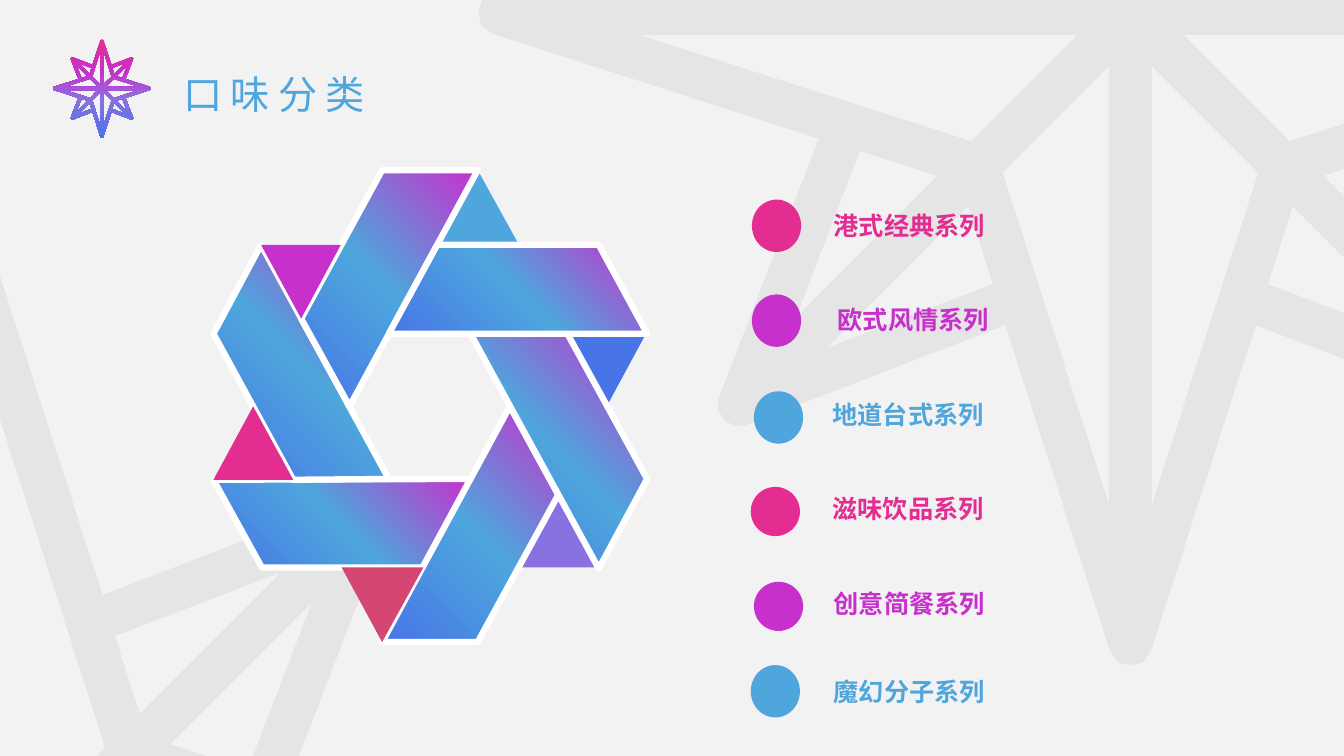
"""Build the flavour slide: star backdrop, woven ring and a list of six series."""
import copy
from dataclasses import dataclass

import pptx
import pptx.dml.color
import pptx.enum.shapes
import pptx.enum.text
import pptx.util
from pptx.util import Cm

Point = tuple[float, float]

PINK, PURPLE, SKY, BLUE, LILAC = "E32D91", "C830CC", "4EA6DC", "4775E7", "8971E1"
BLEND = ((0, PURPLE), (0.5, SKY), (1, BLUE))
GLOW = ((0, PINK), (0.32, PURPLE), (0.61, LILAC), (1, BLUE))
SLANT, DOWN = 225, 270

RIM = [(0, -10), (0.2, -9.95), (0.32, -9.76), (1.92, -4.78),
       (5.89, -6.31), (6.08, -6.33), (6.23, -6.23)]
HOLES = ([(2.11, -4.15), (2.49, -2.96), (4.66, -5.13)],
         [(0.33, -7.53), (1.96, -2.44), (0.33, -0.81)])


@dataclass
class Star:
    x: float
    y: float
    size: float


@dataclass
class Piece:
    fill: str
    points: list[Point]


@dataclass
class Row:
    text: str
    tint: str
    dot: Point
    tall: float
    at: Point
    high: float


BACK = [Star(-0.57, 22.85, 16.43), Star(28.49, 0.34, 16.43)]
BADGE = Star(2.57, 2.23, 1.24)

RING = [
    Piece("", [(11.86, 12.07), (5.38, 12.09), (6.6, 14.3), (10.67, 14.3)]),
    Piece(LILAC, [(14.07, 12.47), (13.08, 14.3), (15.06, 14.3)]),
    Piece("", [(12.85, 10.24), (9.63, 16.18), (12.04, 16.18), (14.07, 12.47)]),
    Piece(BLUE, [(14.3, 8.41), (15.29, 10.24), (16.28, 8.41)]),
    Piece(SKY, [(13.08, 6.17), (12.04, 4.29), (11.02, 6.17)]),
    Piece("", [(11.86, 8.41), (15.09, 14.33), (16.31, 12.07), (14.3, 8.41)]),
    Piece("D54773", [(10.67, 14.3), (8.61, 14.3), (9.63, 16.18)]),
    Piece("", [(9.8, 12.07), (6.58, 6.17), (5.38, 8.41), (7.39, 12.09)]),
    Piece(PINK, [(7.39, 12.09), (6.38, 10.24), (5.38, 12.09)]),
    Piece("", [(8.81, 10.24), (12.04, 4.29), (9.63, 4.29), (7.59, 8.03)]),
    Piece(PURPLE, [(8.59, 6.17), (6.58, 6.17), (7.59, 8.03)]),
    Piece("", [(9.8, 8.41), (16.31, 8.41), (15.09, 6.17), (11.02, 6.17)]),
]

ROWS = [
    Row("港式经典系列", PINK, (18.95, 5.03), 1.32, (20.6, 5.28), 0.81),
    Row("欧式风情系列", PURPLE, (18.95, 7.42), 1.32, (20.7, 7.67), 0.76),
    Row("地道台式系列", SKY, (19, 9.86), 1.32, (20.57, 10.03), 0.81),
    Row("滋味饮品系列", PINK, (18.92, 12.27), 1.24, (20.57, 12.42), 0.76),
    Row("创意简餐系列", PURPLE, (19, 14.66), 1.24, (20.6, 14.83), 0.76),
    Row("魔幻分子系列", SKY, (18.92, 16.76), 1.32, (20.6, 17.02), 0.81),
]


def hue(code: str) -> pptx.dml.color.RGBColor:
    return pptx.dml.color.RGBColor.from_string(code)


def solid(fill, code: str) -> None:
    fill.solid()
    fill.fore_color.rgb = hue(code)


def grade(fill, node, stops, angle: int) -> None:
    fill.gradient()
    fill.gradient_angle = angle
    marks = node.xpath(".//a:gsLst")[0]
    while len(marks) < len(stops):
        marks.append(copy.deepcopy(marks[0]))
    for mark, (place, code) in zip(fill.gradient_stops, stops):
        mark.color.rgb = hue(code)
        mark.position = place


def trace(slide, loops: list[list[Point]]):
    """Draw closed loops, given in centimetres, as one freeform."""
    paths = [[(Cm(x), Cm(y)) for x, y in loop] for loop in loops]
    pen = slide.shapes.build_freeform(*paths[0][0], scale=1.0)
    for index, path in enumerate(paths):
        if index:
            pen.move_to(*path[0])
        pen.add_line_segments(path[1:], close=True)
    shape = pen.convert_to_shape()
    shape.shadow.inherit = False
    shape.line.fill.background()
    return shape


def flip(points: list[Point]) -> list[Point]:
    return [(-y, -x) for x, y in points]


def turn(points: list[Point], count: int) -> list[Point]:
    for _ in range(count):
        points = [(-y, x) for x, y in points]
    return points


def draw_star(slide, star: Star):
    side = RIM + flip(RIM)[-2::-1]
    edge = [point for count in range(4) for point in turn(side, count)[:-1]]
    gaps = [turn(gap, count) for count in range(4)
            for hole in HOLES for gap in (hole, flip(hole))]
    unit = star.size / 10
    return trace(slide, [[(star.x + x * unit, star.y + y * unit) for x, y in loop]
                         for loop in [edge, *gaps]])


def draw_piece(slide, piece: Piece) -> None:
    shape = trace(slide, [piece.points])
    if piece.fill:
        solid(shape.fill, piece.fill)
    else:
        grade(shape.fill, shape._element, BLEND, SLANT)
        solid(shape.line.fill, "FFFFFF")
        shape.line.width = pptx.util.Pt(4.5)


def write(slide, text: str, at: Point, size: Point, *, font: str, points: float,
          tint: str = "", bold: bool = False, inset: Point = (0.25, 0.13),
          anchor=pptx.enum.text.MSO_ANCHOR.TOP, space: int = 0, grow: bool = False):
    """Add a one-line text box."""
    box = slide.shapes.add_textbox(*map(Cm, at + size))
    frame = box.text_frame
    frame.word_wrap = False
    frame.vertical_anchor = anchor
    frame.margin_left = frame.margin_right = Cm(inset[0])
    frame.margin_top = frame.margin_bottom = Cm(inset[1])
    if grow:
        frame.auto_size = pptx.enum.text.MSO_AUTO_SIZE.SHAPE_TO_FIT_TEXT
    run = frame.paragraphs[0].add_run()
    run.text = text
    run.font.size = pptx.util.Pt(points)
    run.font.bold = bold
    run.font.name = font
    props = run._r.get_or_add_rPr()
    east = pptx.oxml.parse_xml(
        f'<a:ea {pptx.oxml.ns.nsdecls("a")} typeface="{font}"/>')
    props.append(east)
    if space:
        props.set("spc", str(space * 100))
    if tint:
        solid(run.font.fill, tint)
    else:
        grade(run.font.fill, props, BLEND, SLANT)


def draw_row(slide, row: Row) -> None:
    dot = slide.shapes.add_shape(pptx.enum.shapes.MSO_SHAPE.OVAL,
                                 *map(Cm, (*row.dot, 1.24, row.tall)))
    dot.shadow.inherit = False
    dot.line.fill.background()
    solid(dot.fill, row.tint)
    write(slide, row.text, row.at, (11.58, row.high), font="Noto Sans CJK SC",
          points=18, tint=row.tint, bold=True, inset=(0.41, 0),
          anchor=pptx.enum.text.MSO_ANCHOR.MIDDLE)


def main() -> None:
    deck = pptx.Presentation()
    deck.slide_width, deck.slide_height = Cm(33.87), Cm(19.05)
    slide = deck.slides.add_slide(deck.slide_layouts[6])
    solid(slide.background.fill, "F2F2F2")
    for star in BACK:
        shape = draw_star(slide, star)
        solid(shape.fill, "D9D9D9")
        tone = shape._element.spPr.xpath("./a:solidFill/a:srgbClr")[0]
        tone.append(pptx.oxml.parse_xml(
            f'<a:alpha {pptx.oxml.ns.nsdecls("a")} val="50000"/>'))
    for piece in RING:
        draw_piece(slide, piece)
    write(slide, "口味分类", (4.37, 1.63), (5.31, 1.45), font="Arial",
          points=28, space=6, grow=True)
    badge = draw_star(slide, BADGE)
    grade(badge.fill, badge._element, GLOW, DOWN)
    for row in ROWS:
        draw_row(slide, row)
    deck.save("out.pptx")


if __name__ == "__main__":
    main()
